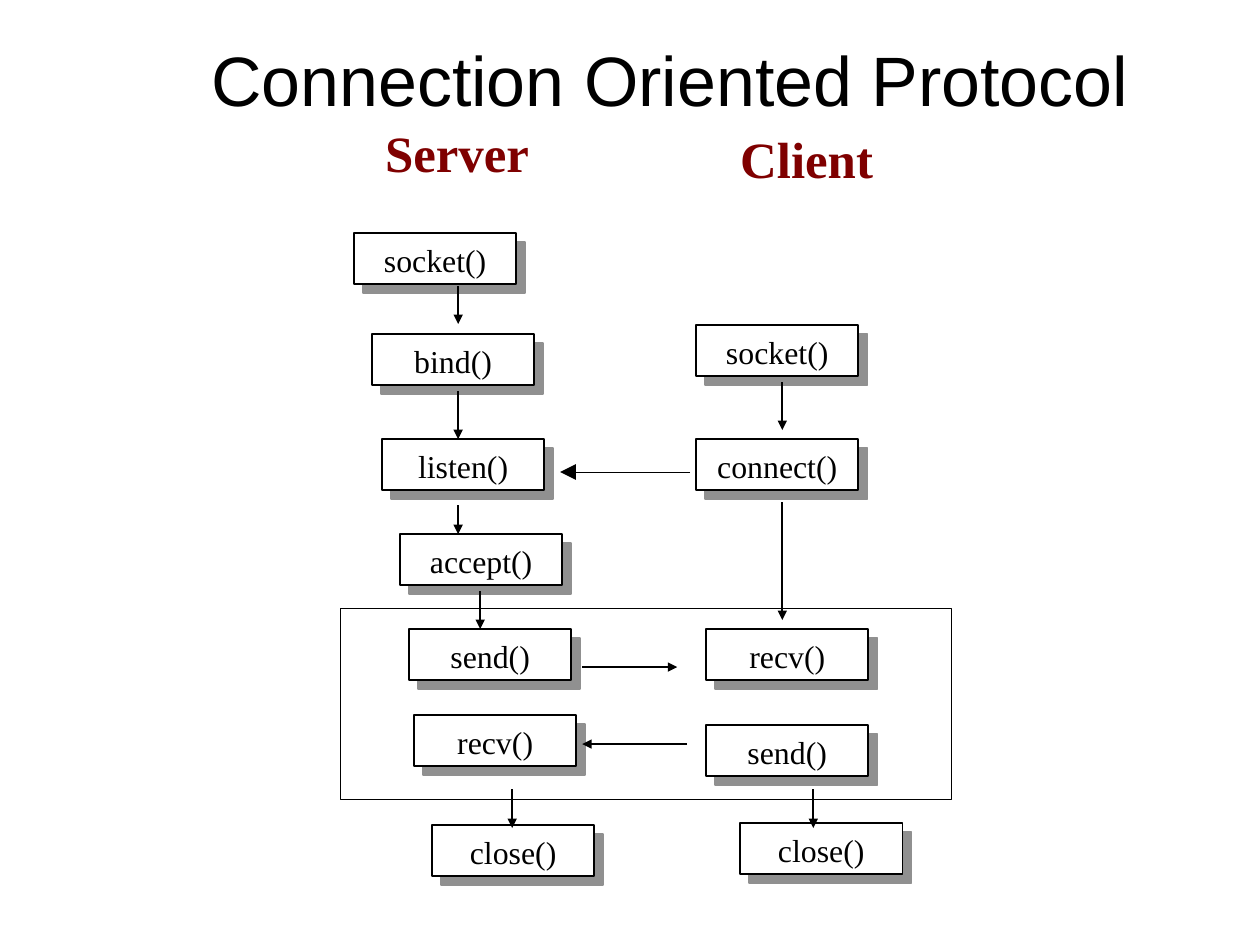
from lxml import etree
from pptx import Presentation
from pptx import util as u
from pptx.dml import color
from pptx.enum import shapes, text
from pptx.oxml import ns

PIXEL = 914400 / 114.4
BLACK, WHITE, GREY, MAROON = "000000", "FFFFFF", "909090", "7F0000"
BOX_WIDTH, BOX_HEIGHT, SHADOW_OFFSET = 162, 51, 9


def px(*lengths):
    """Turn pixel lengths into a list of EMU lengths."""
    return [u.Emu(round(length * PIXEL)) for length in lengths]


def rgb(value):
    """Turn a hex string into a colour."""
    return color.RGBColor.from_string(value)


presentation = Presentation()
presentation.slide_width, presentation.slide_height = u.Inches(11.01), u.Inches(8.26)
slide = presentation.slides.add_slide(presentation.slide_layouts[5])

# Title
title = slide.shapes.title
title.left, title.top, title.width, title.height = px(102, 0, 1057, 169)
frame = title.text_frame
frame.text = "Connection Oriented Protocol"
frame.margin_left, frame.margin_top, frame.margin_right, frame.margin_bottom = px(109, 37, 0, 0)
frame.vertical_anchor = text.MSO_ANCHOR.TOP
frame.auto_size = text.MSO_AUTO_SIZE.NONE
paragraph = frame.paragraphs[0]
paragraph.alignment = text.PP_ALIGN.LEFT
paragraph.line_spacing = u.Pt(52.7)
font = paragraph.runs[0].font
font.name, font.size, font.color.rgb = "Arial", u.Pt(44), rgb(BLACK)

# Column headings
for heading, left, top in [("Server", 385, 122), ("Client", 740, 128)]:
    text_box = slide.shapes.add_textbox(*px(left, top, 148, 64))
    frame = text_box.text_frame
    frame.text = heading
    frame.word_wrap = True
    frame.margin_left = frame.margin_top = frame.margin_right = frame.margin_bottom = 0
    font = frame.paragraphs[0].runs[0].font
    font.name, font.size, font.bold = "Times New Roman", u.Pt(32), True
    font.color.rgb = rgb(MAROON)

# Calls of the server, then of the client, each a box over its grey shadow
calls = [
    ("socket()", 354, 233), ("bind()", 372, 334), ("listen()", 382, 439),
    ("accept()", 400, 534), ("send()", 409, 629), ("recv()", 414, 715),
    ("close()", 432, 825),
    ("socket()", 696, 325), ("connect()", 696, 439), ("recv()", 706, 629),
    ("send()", 706, 725), ("close()", 740, 823),
]
for call, left, top in calls:
    for offset, fill, line in [(SHADOW_OFFSET, GREY, GREY), (0, WHITE, BLACK)]:
        box = slide.shapes.add_shape(
            shapes.MSO_SHAPE.RECTANGLE,
            *px(left + offset, top + offset, BOX_WIDTH, BOX_HEIGHT))
        box.shadow.inherit = False
        box.fill.solid()
        box.fill.fore_color.rgb = rgb(fill)
        box.line.color.rgb = rgb(line)
        box.line.width = u.Pt(1)
    frame = box.text_frame
    frame.text = call
    frame.margin_left, frame.margin_top, frame.margin_right, frame.margin_bottom = px(0, 8, 0, 0)
    frame.vertical_anchor = text.MSO_ANCHOR.TOP
    paragraph = frame.paragraphs[0]
    paragraph.alignment = text.PP_ALIGN.CENTER
    font = paragraph.runs[0].font
    font.name, font.size, font.color.rgb = "Times New Roman", u.Pt(20), rgb(BLACK)

# Frame around the data exchange
exchange = slide.shapes.add_shape(shapes.MSO_SHAPE.RECTANGLE, *px(340, 608, 611, 191))
exchange.shadow.inherit = False
exchange.fill.background()
exchange.line.color.rgb = rgb(BLACK)
exchange.line.width = u.Pt(0.25)

# Arrows: start, end, line width, head size
arrows = [(x, start, x, end, 1, "med") for x, start, end in [
    (458, 286, 324), (458, 391, 439), (458, 505, 534), (480, 591, 629),
    (782, 382, 430), (782, 502, 620), (512, 789, 828), (813, 789, 828)]]
arrows += [
    (582, 667, 677, 667, 1, "med"),
    (687, 744, 582, 744, 1, "med"),
    (690, 472, 560, 472, 0.25, "lg"),
]
for *ends, width, head in arrows:
    arrow = slide.shapes.add_connector(shapes.MSO_CONNECTOR.STRAIGHT, *px(*ends))
    arrow.line.color.rgb = rgb(BLACK)
    arrow.line.width = u.Pt(width)
    etree.SubElement(arrow.line._get_or_add_ln(), ns.qn("a:tailEnd"),
                     type="triangle", w=head, len=head)
    etree.SubElement(arrow._element.spPr, ns.qn("a:effectLst"))

presentation.save("out.pptx")
